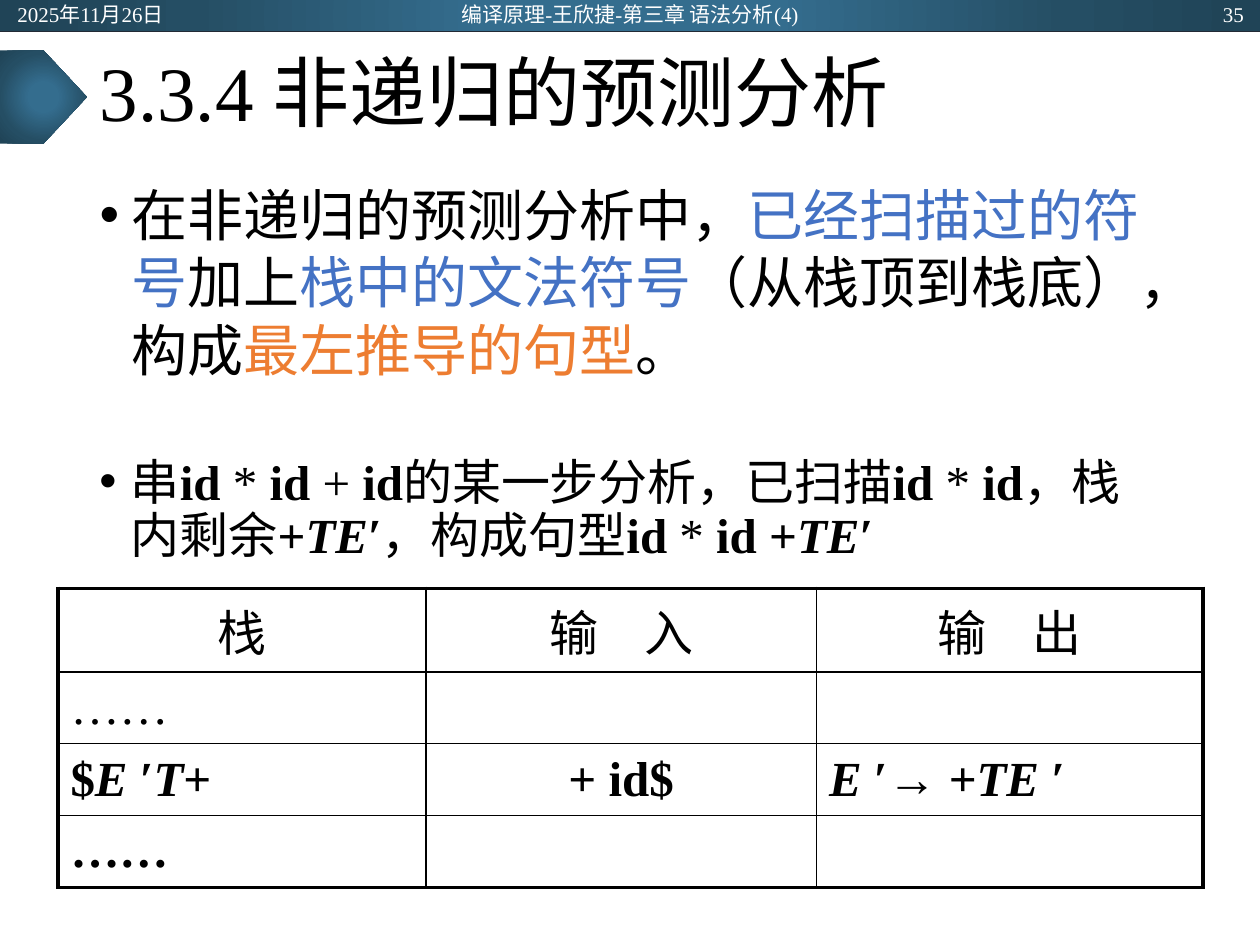
from lxml import etree
from pptx import Presentation
from pptx import util as u
from pptx.dml.color import RGBColor
from pptx.enum import shapes, text
from pptx.oxml import ns, parse_xml

FONT = "Times New Roman"
BLACK, WHITE, BLUE, ORANGE = "000000", "FFFFFF", "4472C4", "ED7D31"
GRADIENT = [(0, "346D8E"), (23, "346D8E"), (69, "254E64"), (97, "204457")]
LEFT, CENTER, RIGHT = text.PP_ALIGN.LEFT, text.PP_ALIGN.CENTER, text.PP_ALIGN.RIGHT
BOLD = {"bold": True}
BOLD_ITALIC = {"bold": True, "italic": True}


def color(value):
    """Turn a hex string into a colour."""
    return RGBColor.from_string(value)


class SlideBuilder:
    """Holds the text style and the slide being built."""

    def __init__(self, slide):
        """Keep the slide and the default font."""
        self.slide = slide
        self.style = {"name": FONT, "bold": False, "italic": False}

    def add_runs(self, paragraph, runs, size, ink=BLACK, spread=0, **formats):
        """Put (text, format) runs into a paragraph."""
        for key, value in formats.items():
            setattr(paragraph, key, value)
        for words, changes in runs:
            run = paragraph.add_run()
            run.text = words
            values = {**self.style, "size": u.Pt(size), "ink": ink, **changes}
            run.font.color.rgb = color(values.pop("ink"))
            for key, value in values.items():
                setattr(run.font, key, value)
            if spread:
                run.font._element.set("spc", str(spread * 100))

    def frame(self, shape, box, anchor):
        """Place a text shape and set up its frame."""
        for key, value in zip(("left", "top", "width", "height"), box):
            setattr(shape, key, u.Inches(value))
        formats = {"word_wrap": True, "auto_size": text.MSO_AUTO_SIZE.NONE,
                   "vertical_anchor": anchor}
        for key, value in formats.items():
            setattr(shape.text_frame, key, value)
        return shape.text_frame.paragraphs[0]

    def textbox(self, box, anchor=text.MSO_ANCHOR.TOP):
        """Add a text box and return its paragraph."""
        shape = self.slide.shapes.add_textbox(*map(u.Inches, box))
        return self.frame(shape, box, anchor)

    def label(self, box, words, align):
        """Add a small white label in the header bar."""
        paragraph = self.textbox(box, text.MSO_ANCHOR.MIDDLE)
        self.add_runs(paragraph, [(words, {})], 12, WHITE, alignment=align)

    def title(self, box, words):
        """Fill the title placeholder."""
        paragraph = self.frame(self.slide.shapes.title, box, text.MSO_ANCHOR.MIDDLE)
        self.add_runs(paragraph, [(words, {})], 44, alignment=LEFT, line_spacing=0.9)

    def bullet(self, paragraph, runs, size, leading):
        """Fill a bulleted paragraph with a hanging indent."""
        props = paragraph._p.get_or_add_pPr()
        props.set("marL", str(u.Inches(0.25)))
        props.set("indent", str(-u.Inches(0.25)))
        etree.SubElement(props, ns.qn("a:buFont")).set("typeface", "Arial")
        etree.SubElement(props, ns.qn("a:buChar")).set("char", "•")
        self.add_runs(paragraph, runs, size, alignment=LEFT,
                      line_spacing=u.Pt(leading), space_before=u.Pt(0))

    def gradient_shape(self, kind, box):
        """Add a preset shape with the radial blue gradient."""
        shape = self.slide.shapes.add_shape(kind, *map(u.Inches, box))
        shape.shadow.inherit = False
        shape.line.fill.background()
        stops = "".join(f'<a:gs pos="{at * 1000}"><a:srgbClr val="{value}"/></a:gs>'
                        for at, value in GRADIENT)
        fill = parse_xml(
            f'<a:gradFill {ns.nsdecls("a")} rotWithShape="1"><a:gsLst>{stops}</a:gsLst>'
            '<a:path path="circle"><a:fillToRect l="50000" t="50000" r="50000" b="50000"/>'
            '</a:path></a:gradFill>')
        shape._element.spPr.find(ns.qn("a:prstGeom")).addnext(fill)

    def rule(self, start, end, ink, width):
        """Add a straight line."""
        line = self.slide.shapes.add_connector(
            shapes.MSO_CONNECTOR.STRAIGHT, *map(u.Inches, (*start, *end)))
        line.line.color.rgb = color(ink)
        line.line.width = u.Pt(width)
        etree.SubElement(line._element.spPr, ns.qn("a:effectLst"))

    def borders(self, cell, widths):
        """Draw left, right, top and bottom borders of a cell."""
        props = cell._tc.get_or_add_tcPr()
        for index, (side, width) in enumerate(zip("LRTB", widths)):
            props.insert(index, parse_xml(
                f'<a:ln{side} {ns.nsdecls("a")} w="{u.Pt(width)}"><a:solidFill>'
                f'<a:srgbClr val="{BLACK}"/></a:solidFill></a:ln{side}>'))

    def table(self, box, columns, heights, rows):
        """Add a table with a thick frame and thin inner lines."""
        grid = self.slide.shapes.add_table(
            len(rows), len(columns), *map(u.Inches, box)).table
        grid.first_row = grid.horz_banding = False
        for column, width in zip(grid.columns, columns):
            column.width = u.Inches(width)
        last_row, last_column = len(rows) - 1, len(columns) - 1
        for r, (height, row) in enumerate(zip(heights, rows)):
            grid.rows[r].height = u.Inches(height)
            for c, runs in enumerate(row):
                cell = grid.cell(r, c)
                cell.fill.background()
                outer = (c == 0, c == last_column, r == 0, r == last_row)
                self.borders(cell, [2.25 if edge else 1 for edge in outer])
                cell.vertical_anchor = text.MSO_ANCHOR.MIDDLE
                centred = r == 0 or c == 1
                self.add_runs(cell.text_frame.paragraphs[0], runs, 28,
                              spread=10 if r == 0 and c else 0,
                              alignment=CENTER if centred else LEFT)


def main():
    """Build the slide on predictive parsing."""
    deck = Presentation()
    deck.slide_width, deck.slide_height = u.Inches(10), u.Inches(7.5)
    page = SlideBuilder(deck.slides.add_slide(deck.slide_layouts[1]))

    page.gradient_shape(shapes.MSO_SHAPE.RECTANGLE, (0, 0, 10, 0.25))
    page.rule((0, 0.25), (10, 0.25), "222A35", 0.5)
    page.gradient_shape(shapes.MSO_SHAPE.PENTAGON, (0, 0.4, 0.69, 0.74))

    page.title((0.69, 0.25, 8.62, 1.04), "3.3.4 非递归的预测分析")
    principle = page.frame(page.slide.placeholders[1], (0.69, 1.38, 8.62, 5.38),
                           text.MSO_ANCHOR.TOP)
    page.bullet(principle, [
        ("在非递归的预测分析中，", {}), ("已经扫描过的符号", {"ink": BLUE}),
        ("加上", {}), ("栈中的文法符号", {"ink": BLUE}),
        ("（从栈顶到栈底），构成", {}), ("最左推导的句型", {"ink": ORANGE}),
        ("。", {})], 32, 38.5)

    ident, times = ("id", BOLD), (" * ", {})
    tail = [("TE", BOLD_ITALIC), ("′", BOLD)]
    example = page.textbox((0.69, 3.58, 8.62, 1.01))
    page.bullet(example, [
        ("串", {}), ident, times, ident, (" + ", {}), ident,
        ("的某一步分析，已扫描", {}), ident, times, ident,
        ("，栈内剩余", {}), ("+", BOLD), *tail,
        ("，构成句型", {}), ident, times, ("id +", BOLD), *tail], 28, 30.3)

    page.table((0.46, 4.67, 9.08, 2.37), (2.92, 3.1, 3.07), (0.66, 0.57, 0.57, 0.57), [
        [[("栈", {})], [("输 入", {})], [("输 出", {})]],
        [[("……", {})], [], []],
        [[("$", BOLD), ("E ", BOLD_ITALIC), ("′", BOLD), ("T", BOLD_ITALIC), ("+", BOLD)],
         [("+ id$", BOLD)],
         [("E ", BOLD_ITALIC), ("′→ +", BOLD), ("TE ", BOLD_ITALIC), ("′", BOLD)]],
        [[("……", BOLD)], [], []]])

    page.label((0.04, 0.01, 2.25, 0.2), "2025年11月26日", LEFT)
    page.label((3.31, 0.01, 3.38, 0.2), "编译原理-王欣捷-第三章 语法分析(4)", CENTER)
    page.label((7.72, 0.01, 2.25, 0.2), "35", RIGHT)
    deck.save("out.pptx")


if __name__ == "__main__":
    main()
